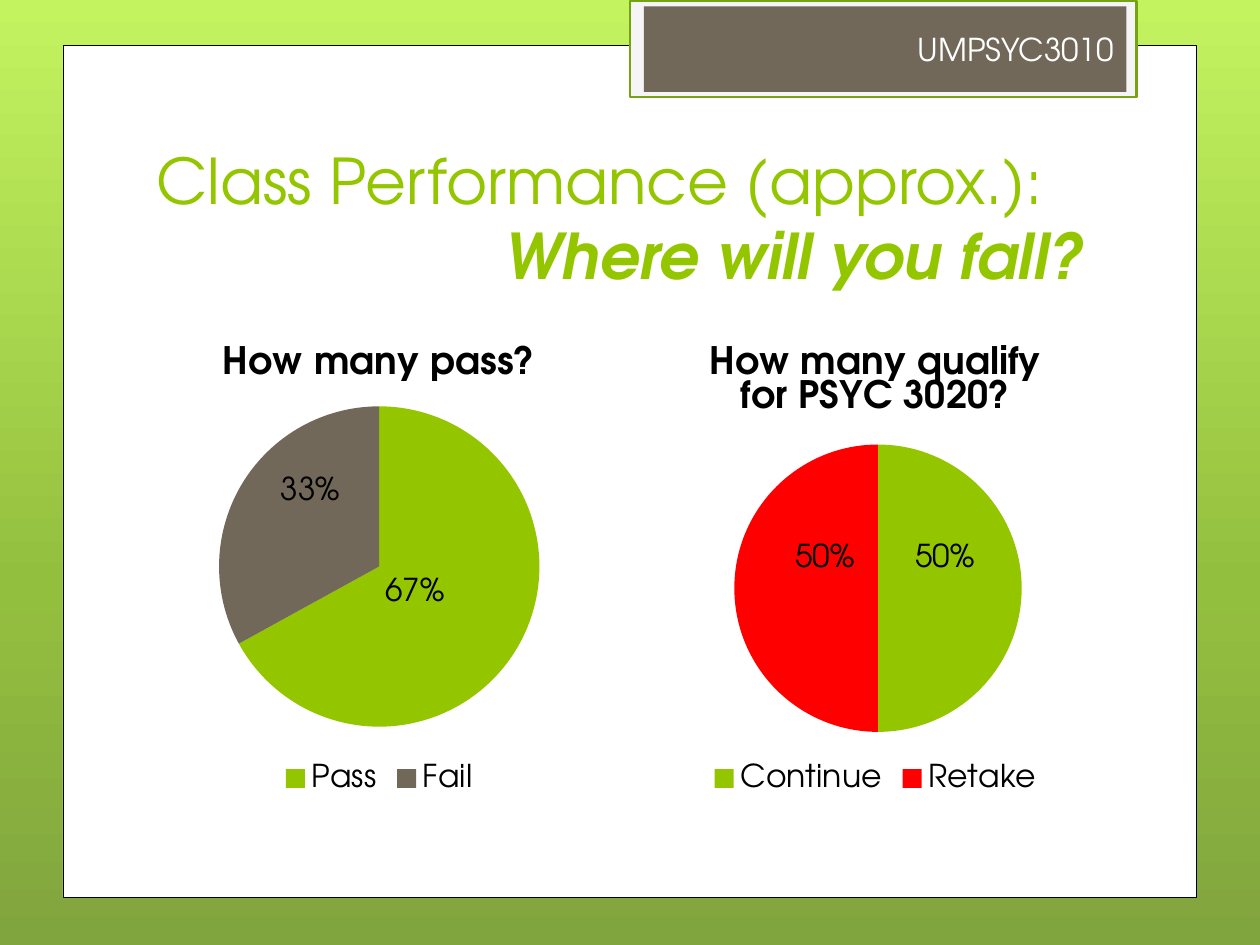
from dataclasses import dataclass

from lxml.etree import SubElement
from pptx import Presentation
from pptx.chart.data import CategoryChartData
from pptx.dml.color import RGBColor
from pptx.enum.chart import XL_CHART_TYPE, XL_LABEL_POSITION, XL_LEGEND_POSITION
from pptx.enum.shapes import MSO_SHAPE
from pptx.enum.text import MSO_ANCHOR, MSO_AUTO_SIZE, PP_ALIGN
from pptx.oxml import parse_xml
from pptx.oxml.ns import nsdecls, qn
from pptx.util import Inches, Pt


@dataclass(frozen=True)
class Theme:
    font: str = "TeX Gyre Adventor"
    green: str = "94C600"
    brown: str = "71685A"
    red: str = "FF0000"
    black: str = "000000"
    white: str = "FFFFFF"
    tab: str = "F5F5F5"
    tab_line: str = "74A510"
    backdrop: tuple = ((0, "C3F35F"), (62, "93BF3F"), (100, "81A53E"))
    title_size: float = 36
    chart_title_size: float = 21.6
    body_size: float = 18


def manual_layout(x, y, width=None, height=None, inner=False):
    """Return a chart layout element; values are fractions of the chart."""
    layout = parse_xml(f"<c:layout {nsdecls('c')}><c:manualLayout/></c:layout>")
    settings = {"x": x, "y": y, "w": width, "h": height}
    if inner:
        settings = {"layoutTarget": "inner", "xMode": "edge", "yMode": "edge", **settings}
    for name, value in settings.items():
        if value is not None:
            SubElement(layout[0], qn(f"c:{name}")).set("val", str(value))
    return layout


class SlideBuilder:
    def __init__(self, presentation, theme):
        self.theme = theme
        self.slide = presentation.slides.add_slide(presentation.slide_layouts[5])

    def style_font(self, font, size, color, bold=False, italic=False):
        font.name = self.theme.font
        font.size = Pt(size)
        font.color.rgb = RGBColor.from_string(color)
        font.bold = bold
        font.italic = italic

    def background(self):
        fill = self.slide.background.fill
        fill.gradient()
        fill.gradient_angle = 270
        stops = next(self.slide.element.iter(qn("a:gsLst")))
        for stop in list(stops):
            stops.remove(stop)
        for percent, color in self.theme.backdrop:
            stop = SubElement(stops, qn("a:gs"), pos=str(percent * 1000))
            SubElement(stop, qn("a:srgbClr"), val=color)

    def rectangle(self, left, top, width, height, fill, line=None, line_width=0):
        shape = self.slide.shapes.add_shape(
            MSO_SHAPE.RECTANGLE, Inches(left), Inches(top), Inches(width), Inches(height))
        shape.shadow.inherit = False
        shape.fill.solid()
        shape.fill.fore_color.rgb = RGBColor.from_string(fill)
        if line:
            shape.line.color.rgb = RGBColor.from_string(line)
            shape.line.width = Pt(line_width)
        else:
            shape.line.fill.background()
        return shape

    def label(self, shape, text):
        frame = shape.text_frame
        frame.text = text
        frame.vertical_anchor = MSO_ANCHOR.MIDDLE
        paragraph = frame.paragraphs[0]
        paragraph.alignment = PP_ALIGN.RIGHT
        self.style_font(paragraph.runs[0].font, self.theme.body_size, self.theme.white)

    def title(self, left, top, width, height, heading, question):
        title = self.slide.shapes.title
        title.left, title.top = Inches(left), Inches(top)
        title.width, title.height = Inches(width), Inches(height)
        # Bring the title in front of the white panel
        self.slide.shapes.element.append(title.element)
        frame = title.text_frame
        frame.text = f"{heading}\n{question}"
        frame.auto_size = MSO_AUTO_SIZE.NONE
        frame.vertical_anchor = MSO_ANCHOR.BOTTOM
        frame.margin_right = Inches(0.22)
        alignments = (PP_ALIGN.LEFT, PP_ALIGN.RIGHT)
        for paragraph, alignment, strong in zip(frame.paragraphs, alignments, (False, True)):
            paragraph.alignment = alignment
            paragraph.space_before = Pt(0)
            self.style_font(paragraph.runs[0].font, self.theme.title_size,
                            self.theme.green, strong, strong)

    def pie(self, left, top, width, height, title, slices, diameter):
        """Draw a pie; slices hold name, value, colour and label offset."""
        data = CategoryChartData(number_format="0%")
        data.categories = [name for name, *_ in slices]
        data.add_series("Series 1", [value for _, value, *_ in slices])
        chart = self.slide.shapes.add_chart(
            XL_CHART_TYPE.PIE, Inches(left), Inches(top),
            Inches(width), Inches(height), data).chart
        theme = self.theme
        self.style_font(chart.font, theme.body_size, theme.black)

        # Title and legend
        chart.has_title = True
        chart.chart_title.include_in_layout = False
        frame = chart.chart_title.text_frame
        frame.text = title
        self.style_font(frame.paragraphs[0].runs[0].font,
                        theme.chart_title_size, theme.black, bold=True)
        chart.has_legend = True
        chart.legend.position = XL_LEGEND_POSITION.BOTTOM
        chart.legend.include_in_layout = False
        self.style_font(chart.legend.font, theme.body_size, theme.black)

        # Centre the pie above the legend
        plot_width, plot_height = round(diameter / width, 2), round(diameter / height, 2)
        plot_area = next(chart.element.iter(qn("c:plotArea")))
        for layout in plot_area.findall(qn("c:layout")):
            plot_area.remove(layout)
        plot_area.insert(0, manual_layout(
            round((1 - plot_width) / 2, 2), round(0.855 - plot_height, 2),
            plot_width, plot_height, inner=True))

        # Slices and their labels
        plot = chart.plots[0]
        plot.vary_by_categories = True
        plot.has_data_labels = True
        plot.data_labels.show_value = True
        plot.data_labels.show_percentage = False
        plot.data_labels.number_format = "0%"
        plot.data_labels.number_format_is_linked = False
        for index, (_, _, color, offset) in enumerate(slices):
            point = plot.series[0].points[index]
            point.format.fill.solid()
            point.format.fill.fore_color.rgb = RGBColor.from_string(color)
            point.format.line.fill.background()
            point.data_label.position = XL_LABEL_POSITION.CENTER
            self.style_font(point.data_label.font, theme.body_size, theme.black)
        for label, (*_, offset) in zip(plot.series[0].data_labels._element.findall(qn("c:dLbl")),
                                       slices):
            label.find(qn("c:idx")).addnext(manual_layout(*offset))


def main():
    theme = Theme()
    presentation = Presentation()
    presentation.slide_width, presentation.slide_height = Inches(10), Inches(7.5)
    builder = SlideBuilder(presentation, theme)

    # Backdrop, panel and course tab
    builder.background()
    builder.rectangle(0.5, 0.36, 9, 6.76, theme.white, theme.black, 0.5)
    builder.rectangle(5, 0.01, 4.02, 0.76, theme.tab, theme.tab_line, 1.25)
    course_tab = builder.rectangle(5.11, 0.05, 3.83, 0.68, theme.brown)
    builder.label(course_tab, "UMPSYC3010")

    # Title
    left, content_width = 1.14, 7.68
    builder.title(left, 1.12, content_width, 1.25,
                  "Class Performance (approx.):", "Where will you fall?")

    # Pie charts side by side
    pies = (
        ("How many pass?", 2.55,
         (("Pass", 0.67, theme.green, (-0.07, -0.03)),
          ("Fail", 0.33, theme.brown, (0, -0.07)))),
        ("How many qualify for PSYC 3020?", 2.28,
         (("Continue", 0.5, theme.green, (-0.01, -0.06)),
          ("Retake", 0.5, theme.red, (0.04, -0.06)))),
    )
    chart_width = 3.74
    step = content_width - chart_width
    for column, (title, diameter, slices) in enumerate(pies):
        builder.pie(left + column * step, 2.53, chart_width, 3.82, title, slices, diameter)

    presentation.save("out.pptx")


if __name__ == "__main__":
    main()
